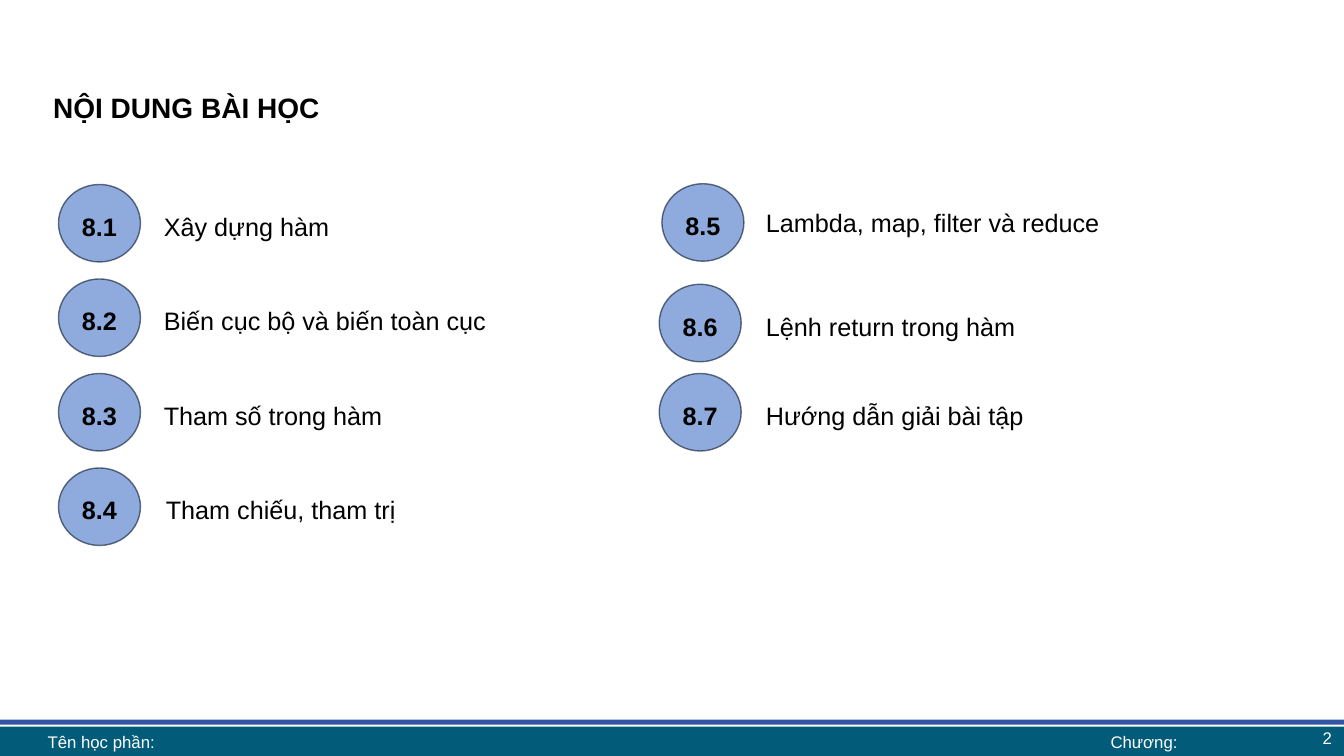
from dataclasses import dataclass

from lxml.etree import SubElement
from pptx import Presentation
from pptx.dml.color import RGBColor
from pptx.enum.shapes import MSO_SHAPE
from pptx.enum.text import MSO_ANCHOR, MSO_AUTO_SIZE, PP_ALIGN
from pptx.oxml.ns import qn
from pptx.util import Inches, Pt


@dataclass(frozen=True)
class Theme:
    font: str = "Arial"
    ink: RGBColor = RGBColor(0, 0, 0)
    light: RGBColor = RGBColor(255, 255, 255)
    footer: RGBColor = RGBColor(0x02, 0x5B, 0x79)
    rule: RGBColor = RGBColor(0x32, 0x56, 0xA4)
    badge: RGBColor = RGBColor(0x8F, 0xAA, 0xDC)
    outline: RGBColor = RGBColor(0x08, 0x17, 0x2E)
    outline_opacity: int = 60
    title_size: int = 20
    body_size: int = 18
    footer_size: int = 12


def apply(target, values):
    for name, value in values.items():
        setattr(target, name, value)


class AgendaSlide:
    def __init__(self, presentation, theme):
        self.theme = theme
        self.width = presentation.slide_width
        self.height = presentation.slide_height
        self.slide = presentation.slides.add_slide(presentation.slide_layouts[5])

    def box(self, left, top, width, height):
        return (
            int(self.width * left / 100),
            int(self.height * top / 100),
            int(self.width * width / 100),
            int(self.height * height / 100),
        )

    def put_text(self, shape, text, frame, paragraph, font):
        apply(shape.text_frame, {"word_wrap": True, **frame})
        line = shape.text_frame.paragraphs[0]
        apply(line, paragraph)
        run = line.add_run()
        run.text = text
        apply(run.font, {"name": self.theme.font, "size": Pt(font["size"]), "bold": font.get("bold", False)})
        run.font.color.rgb = font.get("color", self.theme.ink)

    def title(self, text, *place):
        shape = self.slide.shapes.title
        apply(shape, dict(zip(("left", "top", "width", "height"), self.box(*place))))
        self.put_text(
            shape,
            text,
            {"vertical_anchor": MSO_ANCHOR.TOP, "auto_size": MSO_AUTO_SIZE.NONE},
            {"alignment": PP_ALIGN.JUSTIFY, "line_spacing": 1.2, "space_before": Pt(5)},
            {"size": self.theme.title_size, "bold": True},
        )

    def shape(self, kind, color, *place):
        shape = self.slide.shapes.add_shape(kind, *self.box(*place))
        shape.shadow.inherit = False
        shape.fill.solid()
        shape.fill.fore_color.rgb = color
        shape.line.fill.background()
        return shape

    def bar(self, color, top, height):
        self.shape(MSO_SHAPE.RECTANGLE, color, 0, top, 100, height)

    def badge(self, number, left, top):
        shape = self.shape(MSO_SHAPE.OVAL, self.theme.badge, left, top, 6.1, 10.25)
        shape.line.color.rgb = self.theme.outline
        shape.line.width = Pt(1)
        color = shape.element.find(f".//{qn('a:ln')}//{qn('a:srgbClr')}")
        SubElement(color, qn("a:alpha"), val=str(self.theme.outline_opacity * 1000))
        self.put_text(
            shape,
            number,
            {"vertical_anchor": MSO_ANCHOR.MIDDLE},
            {"alignment": PP_ALIGN.CENTER, "line_spacing": 1.2, "space_before": Pt(5)},
            {"size": self.theme.body_size, "bold": True},
        )

    def label(self, text, left, top):
        self.put_text(
            self.slide.shapes.add_textbox(*self.box(left, top, 43.5, 5.6)),
            text,
            {"auto_size": MSO_AUTO_SIZE.SHAPE_TO_FIT_TEXT},
            {"alignment": PP_ALIGN.JUSTIFY, "line_spacing": Pt(25), "space_before": Pt(5)},
            {"size": self.theme.body_size},
        )

    def footer(self, text, alignment, *place):
        self.put_text(
            self.slide.shapes.add_textbox(*self.box(*place)),
            text,
            {"vertical_anchor": MSO_ANCHOR.MIDDLE, "margin_top": 0, "margin_bottom": 0},
            {"alignment": alignment},
            {"size": self.theme.footer_size, "color": self.theme.light},
        )


TOPICS = (
    "Xây dựng hàm",
    "Biến cục bộ và biến toàn cục",
    "Tham số trong hàm",
    "Tham chiếu, tham trị",
    "Lambda, map, filter và reduce",
    "Lệnh return trong hàm",
    "Hướng dẫn giải bài tập",
)
ROWS = 4
FIRST_ROW, ROW_PITCH, LABEL_DROP = 24.4, 12.5, 2.25
BADGE_COLUMNS = (4.35, 49.05)
LABEL_COLUMNS = (11.45, 56.25)
BADGE_SHIFTS = {4: (0.2, -0.1), 5: (0, 0.7)}
LABEL_SHIFTS = {3: (0.15, 0), 4: (0, -0.5), 5: (0, 0.7)}


def main():
    presentation = Presentation()
    apply(presentation, {"slide_width": Inches(13.33), "slide_height": Inches(7.5)})
    theme = Theme()
    agenda = AgendaSlide(presentation, theme)
    agenda.bar(theme.footer, 96.1, 3.9)
    agenda.bar(theme.rule, 95.2, 0.65)
    agenda.title("NỘI DUNG BÀI HỌC", 3.2, 10.4, 93.5, 11.6)

    for index, topic in enumerate(TOPICS):
        column, row = divmod(index, ROWS)
        top = FIRST_ROW + row * ROW_PITCH
        across, down = BADGE_SHIFTS.get(index, (0, 0))
        agenda.badge(f"8.{index + 1}", BADGE_COLUMNS[column] + across, top + down)
        across, down = LABEL_SHIFTS.get(index, (0, 0))
        agenda.label(topic, LABEL_COLUMNS[column] + across, top + LABEL_DROP + down)

    agenda.footer("Tên học phần:", PP_ALIGN.LEFT, 2.8, 96.3, 76.8, 3.7)
    agenda.footer("Chương:", PP_ALIGN.CENTER, 79.5, 96.3, 11.25, 3.7)
    agenda.footer("2", PP_ALIGN.RIGHT, 77.35, 95.2, 22.5, 4.7)
    presentation.save("out.pptx")


if __name__ == "__main__":
    main()
